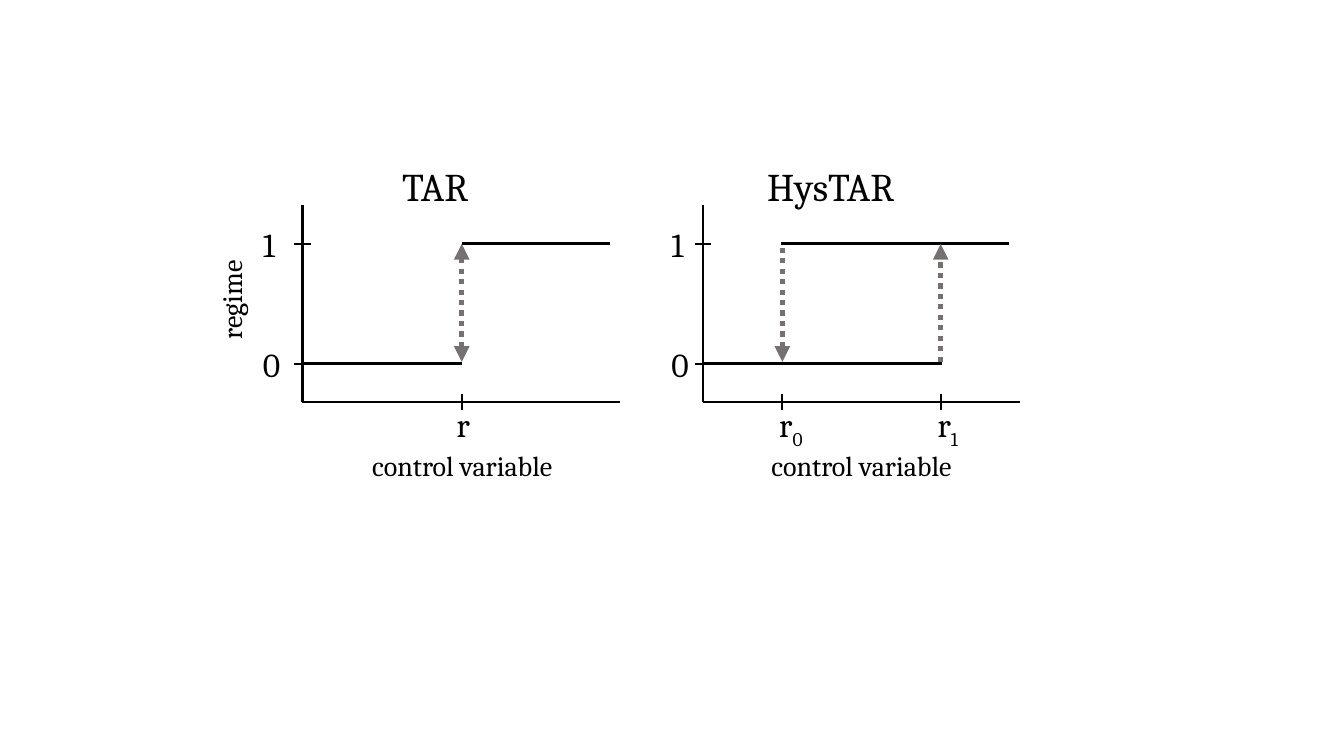
from pptx import Presentation
from pptx.dml.color import RGBColor
from pptx.enum.dml import MSO_LINE
from pptx.enum.shapes import MSO_CONNECTOR
from pptx.enum.text import MSO_AUTO_SIZE, PP_ALIGN
from pptx.util import Inches, Pt
from lxml import etree

COLORS = {"ink": "000000", "jump": "767171"}
FONT = "Cambria"

# Content: thresholds are distances from each panel's origin, in inches.
# A jump is (threshold index, directions in which it can happen).
PANELS = [
    {"title": "TAR", "title_box": (0.89, 1.07), "origin": 3.0,
     "thresholds": [("r", "", 1.58)], "threshold_box": (-0.15, 0.33),
     "low_end": 1.58, "high_start": 1.58, "high_end": 3.05,
     "jumps": [(0, ("up", "down"))],
     "level_left": -0.49, "variable_left": 0.52},
    {"title": "HysTAR", "title_box": (0.54, 1.73), "origin": 6.97,
     "thresholds": [("r", "0", 0.79), ("r", "1", 2.36)], "threshold_box": (-0.13, 0.45),
     "low_end": 2.37, "high_start": 0.78, "high_end": 3.04,
     "jumps": [(0, ("down",)), (1, ("up",))],
     "level_left": -0.41, "variable_left": 0.51},
]
LEVELS = {"1": 2.42, "0": 3.61}
VARIABLE, REGIME = "control variable", "regime"

# Shared geometry
AXIS_TOP, AXIS_BOTTOM, AXIS_LENGTH = 2.03, 3.99, 3.15
TICK = 0.08
HIGH, LOW = LEVELS["1"], LEVELS["0"]

presentation = Presentation()
presentation.slide_width, presentation.slide_height = Inches(13.33), Inches(7.5)
slide = presentation.slides.add_slide(presentation.slide_layouts[6])


def add_line(x1, y1, x2, y2, width=1.5, color="ink"):
    line = slide.shapes.add_connector(
        MSO_CONNECTOR.STRAIGHT, Inches(x1), Inches(y1), Inches(x2), Inches(y2))
    line.line.color.rgb = RGBColor.from_string(COLORS[color])
    line.line.width = Pt(width)
    properties = line._element.spPr
    etree.SubElement(properties, properties.ln.tag.replace("}ln", "}effectLst"))
    return line


def add_jump(x, directions):
    """Dotted arrow between the regimes, drawn from low to high."""
    arrow = add_line(x, LOW - 0.02, x, HIGH, 3.75, "jump")
    arrow.line.dash_style = MSO_LINE.ROUND_DOT
    outline = arrow._element.spPr.ln
    for direction, end in (("down", "}headEnd"), ("up", "}tailEnd")):
        if direction in directions:
            etree.SubElement(outline, outline.tag.replace("}ln", end), type="triangle")


def add_text(text, left, top, width, height, size, subscript="", align=PP_ALIGN.LEFT):
    box = slide.shapes.add_textbox(Inches(left), Inches(top), Inches(width), Inches(height))
    box.text_frame.word_wrap = False
    box.text_frame.auto_size = MSO_AUTO_SIZE.SHAPE_TO_FIT_TEXT
    paragraph = box.text_frame.paragraphs[0]
    paragraph.alignment = align
    paragraph.font.name, paragraph.font.size = FONT, Pt(size)
    paragraph.font.color.rgb = RGBColor.from_string(COLORS["ink"])
    paragraph.add_run().text = text
    if subscript:
        run = paragraph.add_run()
        run.text = subscript
        run._r.get_or_add_rPr().set("baseline", "-25000")
    return box


for panel in PANELS:
    origin = panel["origin"]

    # Axes
    add_line(origin, AXIS_BOTTOM, origin + AXIS_LENGTH, AXIS_BOTTOM)
    add_line(origin, AXIS_BOTTOM, origin, AXIS_TOP)

    # Regime levels
    for label, y in LEVELS.items():
        add_line(origin - TICK, y, origin + TICK, y)
        add_text(label, origin + panel["level_left"], y - 0.25, 0.37, 0.5, 24)

    # Thresholds
    shift, width = panel["threshold_box"]
    for label, subscript, offset in panel["thresholds"]:
        x = origin + offset
        add_line(x, AXIS_BOTTOM + TICK, x, AXIS_BOTTOM - TICK)
        add_text(label, x + shift, AXIS_BOTTOM - 0.03, width, 0.5, 24, subscript)

    # Regime segments and jumps between them
    add_line(origin, LOW, origin + panel["low_end"], LOW, 2)
    add_line(origin + panel["high_start"], HIGH, origin + panel["high_end"], HIGH, 2)
    for index, directions in panel["jumps"]:
        add_jump(origin + panel["thresholds"][index][2], directions)

    # Panel title and axis name
    title_left, title_width = panel["title_box"]
    add_text(panel["title"], origin + title_left, 1.56, title_width, 0.57, 28)
    add_text(VARIABLE, origin + panel["variable_left"], 4.4, 2.13, 0.44, 20,
             align=PP_ALIGN.CENTER)

# Shared vertical axis name
add_text(REGIME, 1.79, 2.74, 1.01, 0.44, 20).rotation = 270

presentation.save("out.pptx")
